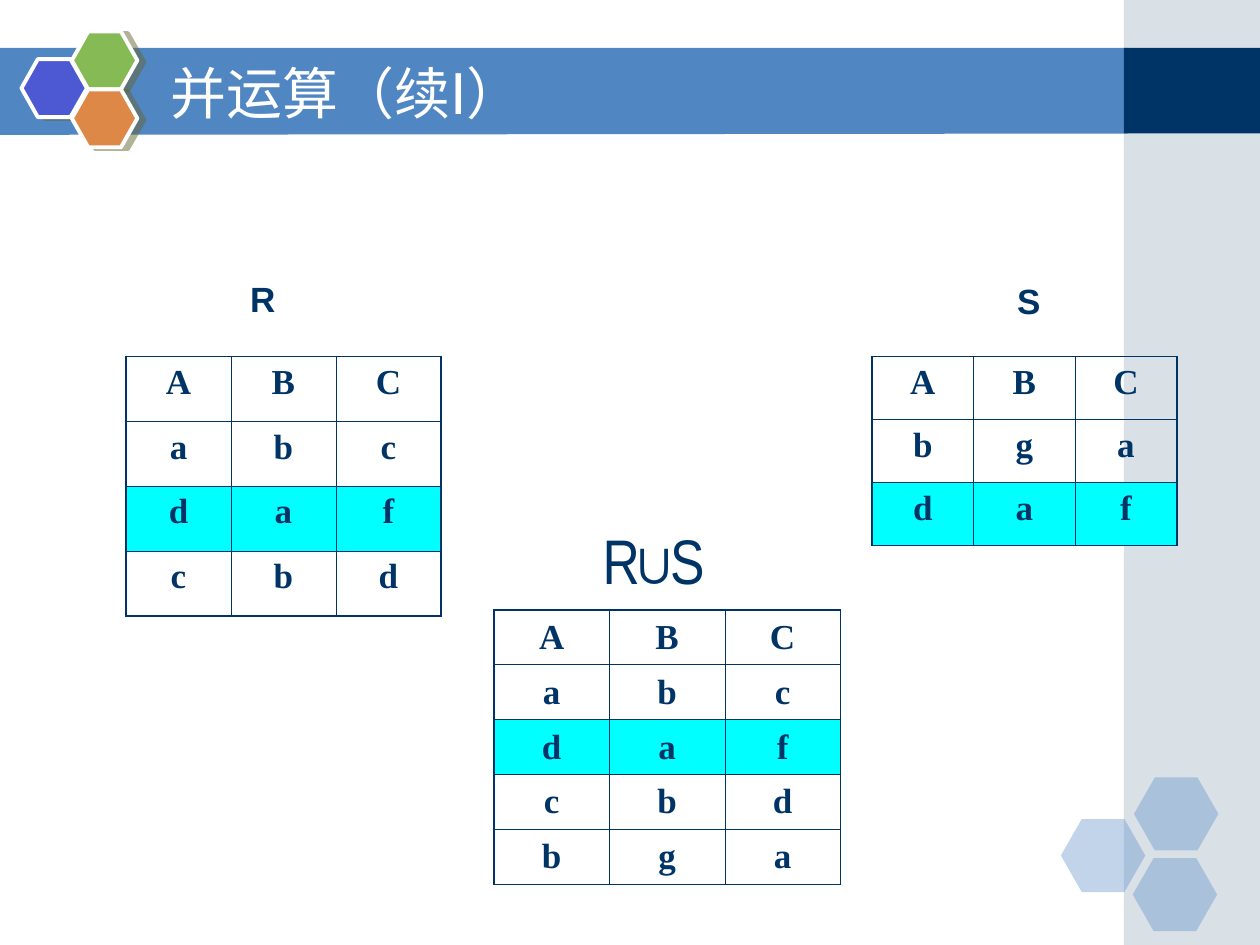
from dataclasses import dataclass
from typing import Optional

import lxml.etree
import pptx
import pptx.dml.color
import pptx.enum.shapes
import pptx.enum.text
import pptx.oxml
import pptx.oxml.ns
import pptx.util

Inches = pptx.util.Inches
Pt = pptx.util.Pt
qn = pptx.oxml.ns.qn
MSO_SHAPE = pptx.enum.shapes.MSO_SHAPE
ANCHOR = pptx.enum.text.MSO_ANCHOR
ALIGN = pptx.enum.text.PP_ALIGN

NAVY = "003366"
BLUE = "5086C2"
WHITE = "FFFFFF"
CYAN = "00FFFF"


@dataclass
class Block:
    left: float
    top: float
    width: float
    height: float
    fill: str
    alpha: Optional[int] = None
    adj: Optional[float] = None
    outlined: bool = False


@dataclass
class Relation:
    left: float
    top: float
    width: float
    height: float
    rows: list[str]
    shaded: int
    anchor: ANCHOR = ANCHOR.TOP


@dataclass
class Label:
    left: float
    top: float
    width: float
    height: float
    text: str
    font: str = "Arial"
    size: int = 20
    bold: bool = True


PANELS = [
    Block(8.92, 0, 1.08, 7.5, "A0B5C4", 40),
    Block(8.92, 0.38, 1.08, 0.68, NAVY),
]
HEXAGONS = [
    Block(left, top, 0.67, 0.58, BLUE, 35, 0.286)
    for left, top in [(8.42, 6.5), (9, 6.17), (8.99, 6.81)]
] + [
    Block(left, top, 0.52, 0.46, fill, None, 0.283, True)
    for left, top, fill in [
        (0.17, 0.47, "4C59D2"), (0.57, 0.25, "85BA54"), (0.57, 0.71, "DE8848")
    ]
]
RELATIONS = [
    Relation(3.92, 4.84, 2.75, 2.18, ["ABC", "abc", "daf", "cbd", "bga"], 2, ANCHOR.MIDDLE),
    Relation(1, 2.83, 2.5, 2.06, ["ABC", "abc", "daf", "cbd"], 2),
    Relation(6.92, 2.83, 2.42, 1.5, ["ABC", "bga", "daf"], 2),
]
LABELS = [
    Label(4.58, 4.09, 1.33, 0.7, "R∪S ", "Arial Narrow", 36, False),
    Label(1.5, 2.15, 1.17, 0.44, "R"),
    Label(7.58, 2.17, 1.17, 0.44, "S"),
]


def color(value: str) -> pptx.dml.color.RGBColor:
    return pptx.dml.color.RGBColor.from_string(value)


def frame(item) -> tuple:
    return tuple(Inches(v) for v in (item.left, item.top, item.width, item.height))


def paint(sp, fill: str, alpha: Optional[int] = None) -> None:
    sp.shadow.inherit = False
    sp.fill.solid()
    sp.fill.fore_color.rgb = color(fill)
    sp.line.fill.background()
    if alpha is not None:
        clr = sp.element.spPr.find(".//" + qn("a:srgbClr"))
        lxml.etree.SubElement(clr, qn("a:alpha"), val=str(alpha * 1000))


def style_run(r, font: str, size: int, fill: str, bold: bool = False) -> None:
    r.font.size = Pt(size)
    r.font.bold = bold
    r.font.name = font
    r.font.color.rgb = color(fill)
    lxml.etree.SubElement(r.font._element, qn("a:ea"), typeface=font)


def draw_band(s) -> None:
    points = [(-0.01, 0.38), (8.95, 0.38), (8.95, 1.06), (-0.01, 1.07)]
    corners = [(Inches(x), Inches(y)) for x, y in points]
    builder = s.shapes.build_freeform(*corners[0])
    builder.add_line_segments(corners[1:], close=True)
    paint(builder.convert_to_shape(), BLUE)


def draw_block(s, block: Block) -> None:
    kind = MSO_SHAPE.RECTANGLE if block.adj is None else MSO_SHAPE.HEXAGON
    sp = s.shapes.add_shape(kind, *frame(block))
    paint(sp, block.fill, block.alpha)
    if block.adj is not None:
        sp.adjustments[0] = block.adj
    if block.outlined:
        sp.line.color.rgb = color(WHITE)
        sp.line.width = Pt(2.25)
        effects = sp.element.spPr.find(qn("a:effectLst"))
        shadow = lxml.etree.SubElement(
            effects, qn("a:outerShdw"), blurRad="0", dist=str(Pt(4.1)),
            dir=str(14 * 60000), algn="ctr", rotWithShape="0")
        clr = lxml.etree.SubElement(shadow, qn("a:srgbClr"), val="666633")
        lxml.etree.SubElement(clr, qn("a:alpha"), val="50000")


def add_border(cell, side: str, width: float) -> None:
    tc_pr = cell._tc.get_or_add_tcPr()
    ln = lxml.etree.SubElement(tc_pr, qn("a:ln" + side), w=str(Pt(width)))
    fill = lxml.etree.SubElement(ln, qn("a:solidFill"))
    lxml.etree.SubElement(fill, qn("a:srgbClr"), val=NAVY)


def draw_relation(s, rel: Relation) -> None:
    n_rows, n_cols = len(rel.rows), len(rel.rows[0])
    table = s.shapes.add_table(n_rows, n_cols, *frame(rel)).table
    table.first_row = table.horz_banding = False
    for i, row in enumerate(rel.rows):
        for j, value in enumerate(row):
            cell = table.cell(i, j)
            cell.vertical_anchor = rel.anchor
            outer = {"L": j == 0, "R": j == n_cols - 1, "T": i == 0, "B": i == n_rows - 1}
            for side, is_outer in outer.items():
                add_border(cell, side, 1.08 if is_outer else 0.45)
            if i == rel.shaded:
                cell.fill.solid()
                cell.fill.fore_color.rgb = color(CYAN)
            else:
                cell.fill.background()
            p = cell.text_frame.paragraphs[0]
            p.text = value
            p.alignment = ALIGN.CENTER
            style_run(p.runs[0], "Times New Roman", 20, NAVY, True)


def draw_label(s, label: Label) -> None:
    tf = s.shapes.add_textbox(*frame(label)).text_frame
    tf.word_wrap = True
    tf.text = label.text
    p = tf.paragraphs[0]
    p.alignment = ALIGN.CENTER
    style_run(p.runs[0], label.font, label.size, NAVY, label.bold)


def place_title(s, text: str) -> None:
    title = s.shapes.title
    title.element.getparent().append(title.element)
    title.left, title.top = Inches(1.25), Inches(0.42)
    title.width, title.height = Inches(7.33), Inches(0.62)
    tf = title.text_frame
    tf.text = text
    tf.auto_size = pptx.enum.text.MSO_AUTO_SIZE.NONE
    tf.vertical_anchor = ANCHOR.MIDDLE
    p = tf.paragraphs[0]
    p.alignment = ALIGN.LEFT
    style_run(p.runs[0], "DejaVu Sans", 32, WHITE)


def main() -> None:
    prs = pptx.Presentation()
    prs.slide_width, prs.slide_height = Inches(10), Inches(7.5)
    s = prs.slides.add_slide(prs.slide_layouts[5])
    draw_band(s)
    for block in PANELS + HEXAGONS:
        draw_block(s, block)
    place_title(s, "并运算（续I）")
    for rel in RELATIONS:
        draw_relation(s, rel)
    for label in LABELS:
        draw_label(s, label)
    prs.save("out.pptx")


if __name__ == "__main__":
    main()
